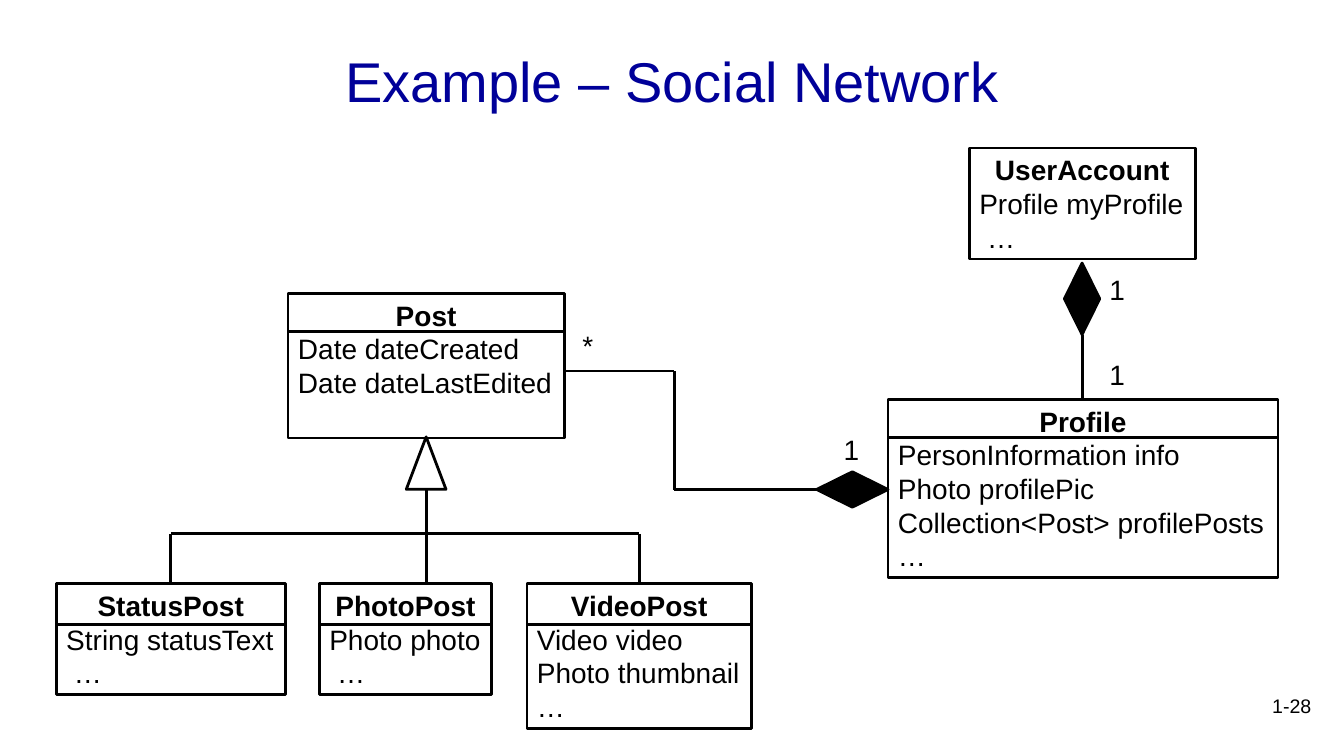
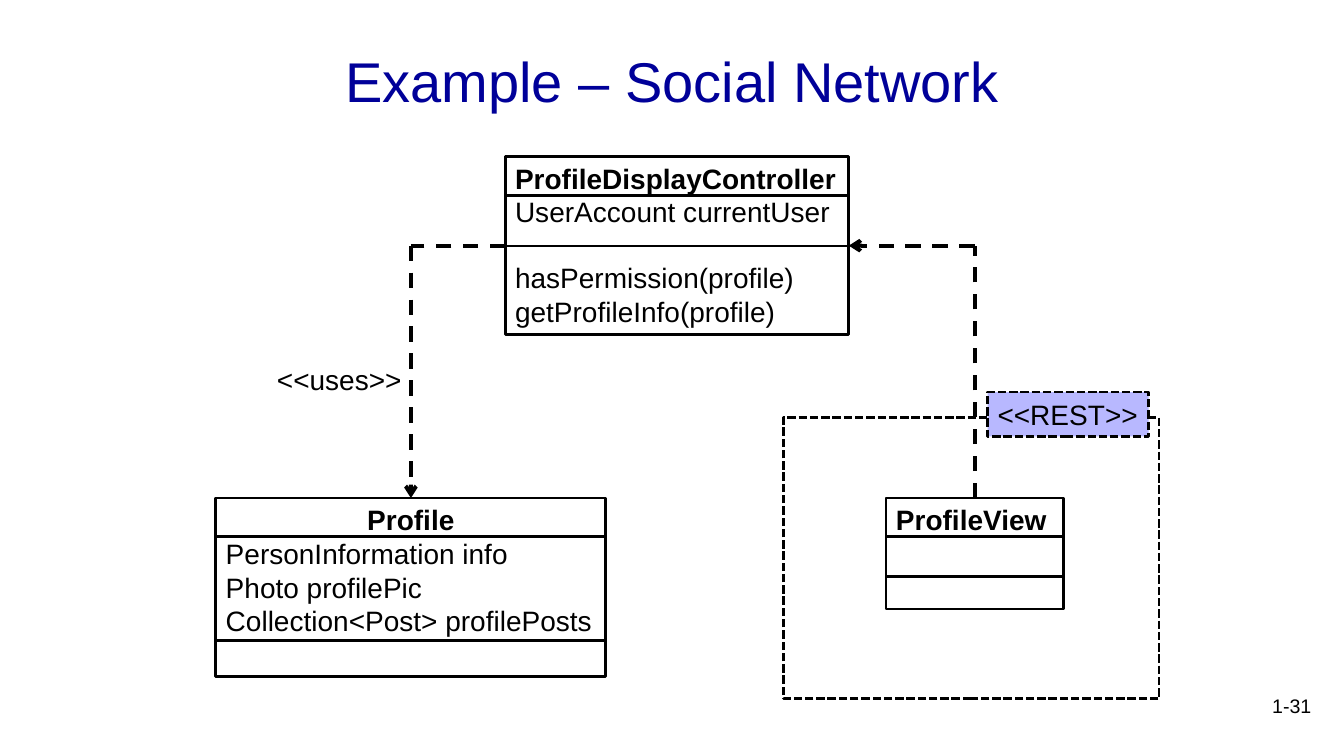
from dataclasses import dataclass
from itertools import pairwise

from lxml.etree import SubElement
from pptx import Presentation
from pptx.dml.color import RGBColor
from pptx.enum.dml import MSO_LINE as Dash
from pptx.enum.shapes import MSO_CONNECTOR as Link, MSO_SHAPE as Preset
from pptx.enum.text import MSO_ANCHOR as Anchor, PP_ALIGN as Align
from pptx.oxml.ns import qn
from pptx.shapes.autoshape import Shape
from pptx.slide import Slide
from pptx.text.text import _Paragraph as Paragraph
from pptx.util import Cm, Pt

Point = tuple[float, float]


@dataclass(frozen=True)
class Theme:
    font: str = "Arial"
    title: RGBColor = RGBColor(0x00, 0x00, 0x99)
    ink: RGBColor = RGBColor(0x00, 0x00, 0x00)
    paper: RGBColor = RGBColor(0xFF, 0xFF, 0xFF)
    tag: RGBColor = RGBColor(0xB8, 0xB8, 0xFF)
    title_size: float = 40
    body_size: float = 20
    number_size: float = 14
    line: float = 2
    dependency_line: float = 2.75
    row: float = 0.85
    padding: float = 0.25


THEME = Theme()


@dataclass(frozen=True)
class Box:
    left: float
    top: float
    width: float
    height: float

    @property
    def right(self) -> float:
        return self.left + self.width

    @property
    def bottom(self) -> float:
        return self.top + self.height

    @property
    def center(self) -> float:
        return self.left + self.width / 2

    @property
    def middle(self) -> float:
        return self.top + self.height / 2

    def lengths(self) -> tuple[Cm, Cm, Cm, Cm]:
        return Cm(self.left), Cm(self.top), Cm(self.width), Cm(self.height)


@dataclass(frozen=True)
class UmlClass:
    name: str
    left: float
    top: float
    width: float
    rows: int
    attributes: tuple[str, ...] = ()
    operations: tuple[str, ...] = ()
    dividers: tuple[float, ...] = ()
    name_align: Align = Align.CENTER

    @property
    def box(self) -> Box:
        height = THEME.padding + self.rows * THEME.row
        return Box(self.left, self.top, self.width, height)


@dataclass(frozen=True)
class Label:
    text: str
    box: Box


def style(paragraph: Paragraph, size: float = THEME.body_size,
          color: RGBColor = THEME.ink, align: Align = Align.LEFT,
          bold: bool = False) -> None:
    paragraph.alignment = align
    font = paragraph.font
    font.name, font.size, font.bold = THEME.font, Pt(size), bold
    font.color.rgb = color


def add_text(slide: Slide, label: Label, size: float = THEME.body_size,
             color: RGBColor = THEME.ink, align: Align = Align.LEFT,
             anchor: Anchor = Anchor.TOP, wrap: bool = False) -> None:
    frame = slide.shapes.add_textbox(*label.box.lengths()).text_frame
    frame.word_wrap, frame.vertical_anchor = wrap, anchor
    frame.text = label.text
    style(frame.paragraphs[0], size, color, align)


def add_outline(slide: Slide, preset: Preset, box: Box,
                fill: RGBColor | None = None, dash: Dash | None = None) -> Shape:
    outline = slide.shapes.add_shape(preset, *box.lengths())
    outline.shadow.inherit = False
    if fill is None:
        outline.fill.background()
    else:
        outline.fill.solid()
        outline.fill.fore_color.rgb = fill
    outline.line.color.rgb = THEME.ink
    outline.line.width = Pt(THEME.line)
    if dash is not None:
        outline.line.dash_style = dash
    frame = outline.text_frame
    frame.word_wrap, frame.vertical_anchor = False, Anchor.TOP
    return outline


def add_route(slide: Slide, *stops: Point, dependency: bool = False,
              arrow: bool = False) -> None:
    for (x1, y1), (x2, y2) in pairwise(stops):
        segment = slide.shapes.add_connector(
            Link.STRAIGHT, Cm(x1), Cm(y1), Cm(x2), Cm(y2))
        SubElement(segment._element.spPr, qn("a:effectLst"))
        segment.line.color.rgb = THEME.ink
        segment.line.width = Pt(THEME.dependency_line if dependency else THEME.line)
        if dependency:
            segment.line.dash_style = Dash.DASH
        if arrow and (x2, y2) == stops[-1]:
            SubElement(segment.line._get_or_add_ln(), qn("a:tailEnd"), type="arrow")


def add_class(slide: Slide, uml: UmlClass) -> None:
    box = uml.box
    frame = add_outline(slide, Preset.RECTANGLE, box, THEME.paper).text_frame
    frame.text = "\n".join((uml.name, *uml.attributes, *uml.operations))
    heading, *members = frame.paragraphs
    style(heading, align=uml.name_align, bold=True)
    for member in members:
        style(member)
    if uml.operations:
        members[len(uml.attributes)].space_before = Pt(23)
    for offset in uml.dividers:
        y = box.top + offset
        add_route(slide, (box.left, y), (box.right, y))


def add_diagram_slide(deck: Presentation, number: str) -> Slide:
    slide = deck.slides.add_slide(deck.slide_layouts[6])
    add_text(slide, Label("Example – Social Network", Box(2.54, 0.43, 28.78, 3.18)),
             THEME.title_size, THEME.title, Align.CENTER, Anchor.MIDDLE, wrap=True)
    add_text(slide, Label(number, Box(26.24, 17.35, 7.06, 1.27)),
             THEME.number_size, align=Align.RIGHT, wrap=True)
    return slide


PROFILE_FIELDS = ("PersonInformation info", "Photo profilePic",
                  "Collection<Post> profilePosts")


def build_data_model(deck: Presentation) -> None:
    slide = add_diagram_slide(deck, "1-28")
    subclass_top, subclass_divider = 14.71, (1.02,)
    post = UmlClass("Post", 7.26, 7.39, 6.96, 4,
                    ("Date dateCreated", "Date dateLastEdited"), dividers=(0.97,))
    account = UmlClass("UserAccount", 24.43, 3.73, 5.69, 3,
                       ("Profile myProfile", " …"))
    status = UmlClass("StatusPost", 1.42, subclass_top, 5.77, 3,
                      ("String statusText", " …"), dividers=subclass_divider)
    photo = UmlClass("PhotoPost", 8.05, subclass_top, 4.34, 3,
                     ("Photo photo", " …"), dividers=subclass_divider)
    video = UmlClass("VideoPost", 13.28, subclass_top, 5.66, 4,
                     ("Video video", "Photo thumbnail", "…"),
                     dividers=subclass_divider)
    profile = UmlClass("Profile", 22.38, 10.06, 9.83, 5,
                       (*PROFILE_FIELDS, "…"), dividers=(0.97,))
    for uml in (post, account, status, photo, video, profile):
        add_class(slide, uml)

    trunk, branch = post.box.center, 13.45
    inheritance = Box(trunk - 0.5, post.box.bottom - 0.03, 1, 1.32)
    add_outline(slide, Preset.ISOSCELES_TRIANGLE, inheritance)
    add_route(slide, (trunk, inheritance.bottom), (trunk, subclass_top))
    add_route(slide, (status.box.center, subclass_top), (status.box.center, branch),
              (video.box.center, branch), (video.box.center, subclass_top))

    owns_posts = Box(profile.left - 1.8, 11.89, 1.8, 0.89)
    owns_profile = Box(account.box.center - 0.45, 6.63, 0.89, 1.8)
    for composition in (owns_posts, owns_profile):
        add_outline(slide, Preset.DIAMOND, composition, THEME.ink)
    bend, post_side = 16.99, 9.35
    add_route(slide, (owns_posts.left, owns_posts.middle), (bend, owns_posts.middle),
              (bend, post_side), (post.box.right, post_side))
    add_route(slide, (owns_profile.center, owns_profile.bottom),
              (owns_profile.center, profile.top))

    for count, left, top in (("*", 14.43, 8.15), ("1", 21.01, 10.77),
                             ("1", 27.71, 6.73), ("1", 27.71, 8.89)):
        add_text(slide, Label(count, Box(left, top, 0.91, 1.12)))


def build_controller_model(deck: Presentation) -> None:
    slide = add_diagram_slide(deck, "1-31")
    lower_top = 12.55
    profile = UmlClass("Profile", 5.44, lower_top, 9.83, 5, PROFILE_FIELDS,
                       dividers=(0.97, 3.58))
    view = UmlClass("ProfileView", 22.33, lower_top, 4.47, 3,
                    dividers=(0.97, 1.98), name_align=Align.LEFT)
    controller = UmlClass("ProfileDisplayController", 12.73, 3.94, 8.66, 5,
                          ("UserAccount currentUser",),
                          ("hasPermission(profile)", "getProfileInfo(profile)"),
                          (0.99, 2.26), Align.LEFT)
    for uml in (profile, view, controller):
        add_class(slide, uml)

    hub = controller.box
    add_route(slide, (hub.left, hub.middle), (profile.box.center, hub.middle),
              (profile.box.center, lower_top), dependency=True, arrow=True)
    add_route(slide, (view.box.center, lower_top), (view.box.center, hub.middle),
              (hub.right, hub.middle), dependency=True, arrow=True)
    add_text(slide, Label("<<uses>>", Box(6.73, 9.02, 3.78, 1.12)))

    add_outline(slide, Preset.RECTANGLE, Box(19.74, 10.52, 9.47, 7.09),
                dash=Dash.SQUARE_DOT)
    rest = add_outline(slide, Preset.RECTANGLE, Box(24.89, 9.88, 4.06, 1.12),
                       THEME.tag, Dash.SQUARE_DOT)
    rest.text_frame.text = "<<REST>>"
    style(rest.text_frame.paragraphs[0])


def main() -> None:
    deck = Presentation()
    deck.slide_width, deck.slide_height = Cm(33.87), Cm(19.05)
    build_data_model(deck)
    build_controller_model(deck)
    deck.save("out.pptx")


if __name__ == "__main__":
    main()
